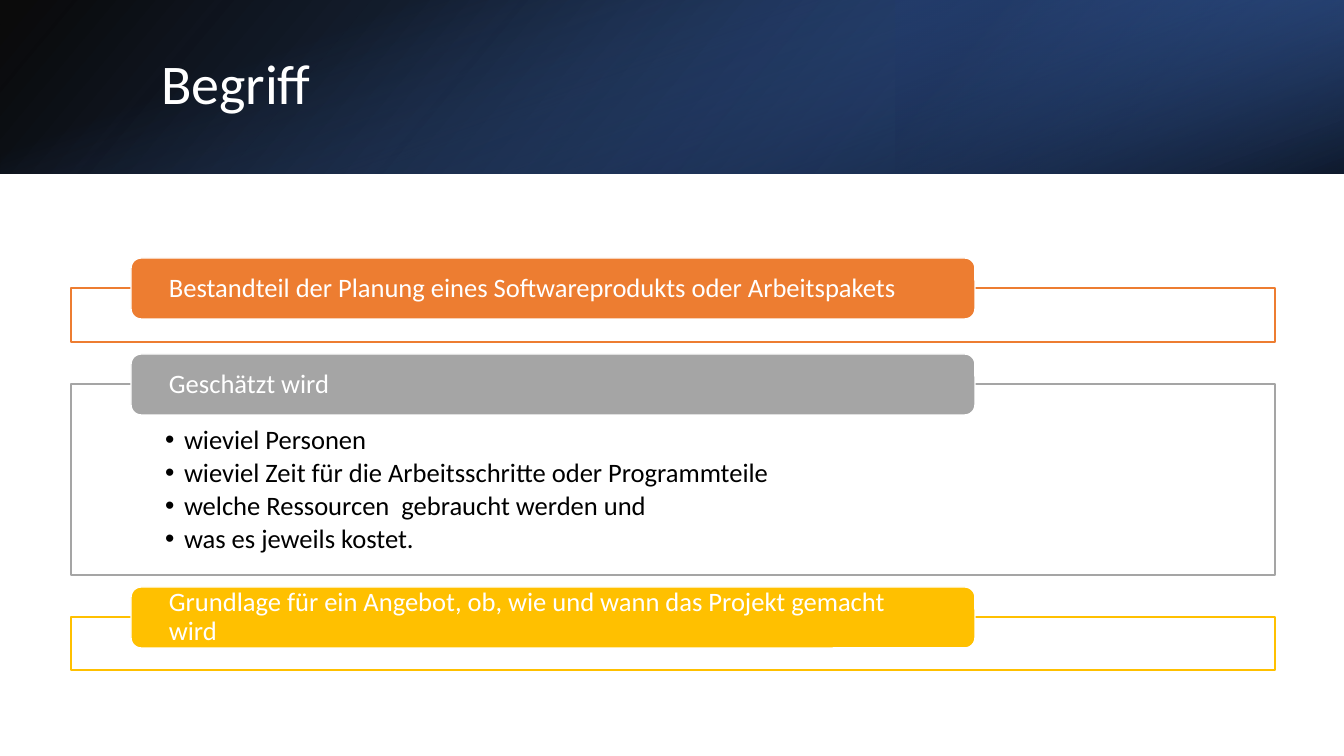
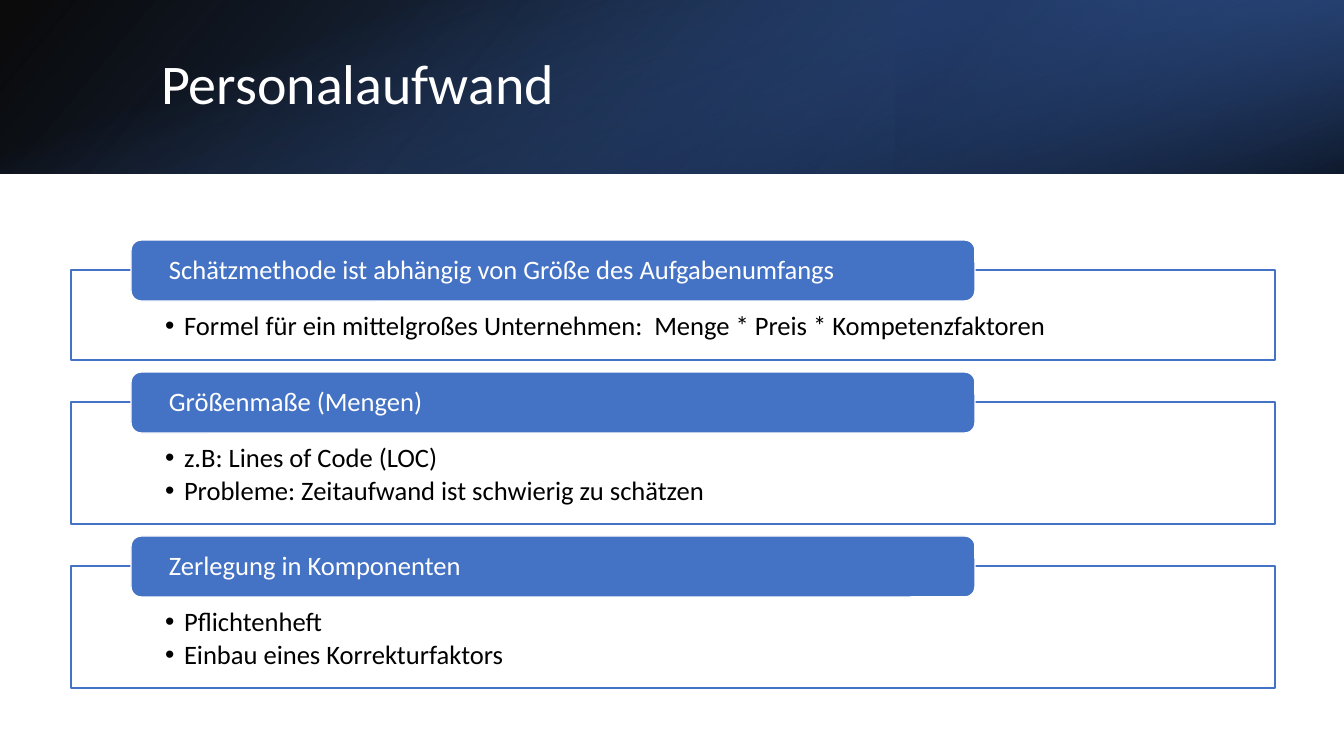
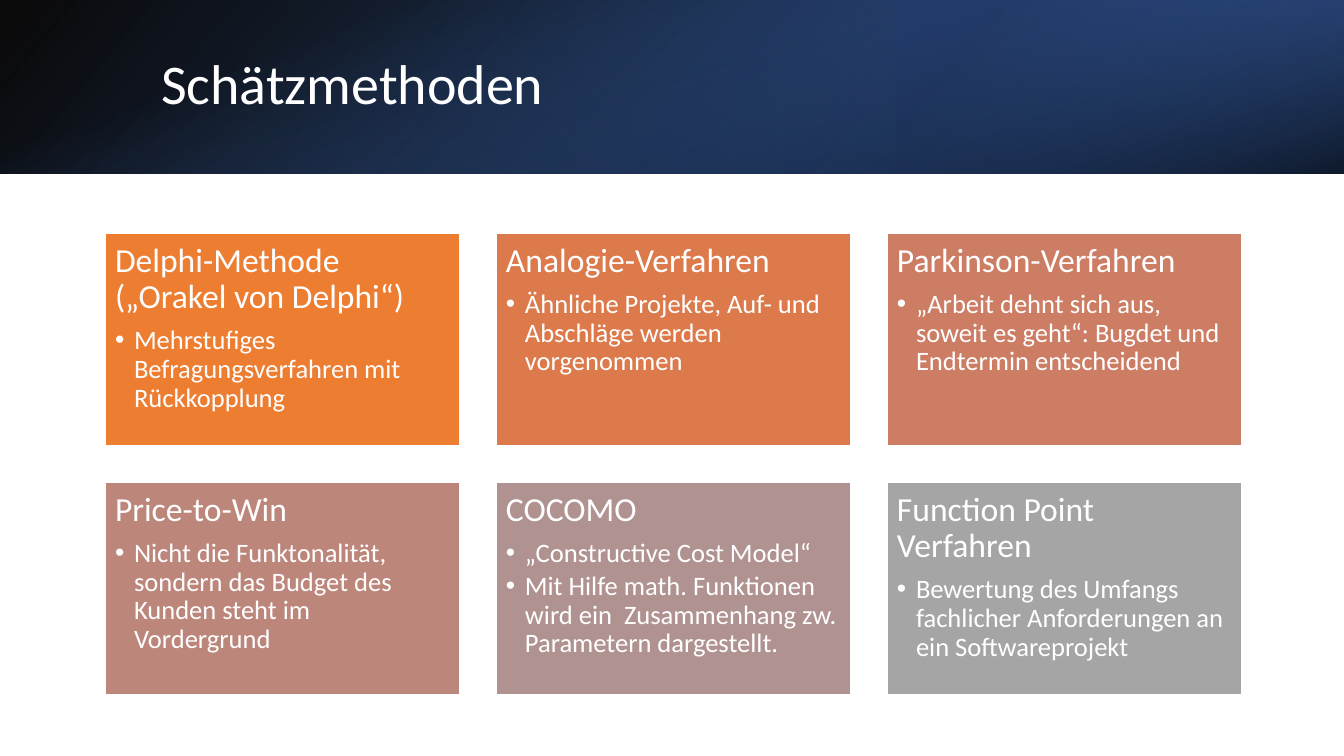
from lxml.etree import SubElement as Sub
from pptx import Presentation
from pptx.dml.color import RGBColor as RGB
from pptx.enum.shapes import MSO_SHAPE as SHAPE
from pptx.enum.text import MSO_ANCHOR as ANCHOR, PP_ALIGN as ALIGN
from pptx.oxml.ns import qn
from pptx.util import Emu, Pt

# Sizes in px
WIDE, HIGH = 1344, 756
SCALE = 12192000 / WIDE
BAND = 174
STEP = 42      # from a frame to the next one
RISE = 30      # how far a label stands above its frame
DENT = 19      # bullet indent

FONT = "Calibri"
WHITE = RGB(0xFF, 0xFF, 0xFF)
BLACK = RGB(0x00, 0x00, 0x00)
NAVY = RGB(0x20, 0x38, 0x64)
DEEP = RGB(0x2F, 0x55, 0x97)
BLUE = RGB(0x44, 0x72, 0xC4)
ORANGE = RGB(0xED, 0x7D, 0x31)
GREY = RGB(0xA5, 0xA5, 0xA5)
GOLD = RGB(0xFF, 0xC0, 0x00)
RUST = RGB(0xDC, 0x7A, 0x4B)
CORAL = RGB(0xCC, 0x7D, 0x64)
ROSE = RGB(0xBD, 0x86, 0x7B)
MAUVE = RGB(0xB0, 0x93, 0x91)

TERMS = [
    ("Bestandteil der Planung eines Softwareprodukts oder Arbeitspakets",
     ORANGE, 54, []),
    ("Geschätzt wird", GREY, 191,
     ["wieviel Personen",
      "wieviel Zeit für die Arbeitsschritte oder Programmteile",
      "welche Ressourcen  gebraucht werden und",
      "was es jeweils kostet."]),
    ("Grundlage für ein Angebot, ob, wie und wann das Projekt gemacht wird",
     GOLD, 53, []),
]
STAFF = [
    ("Schätzmethode ist abhängig von Größe des Aufgabenumfangs", BLUE, 90,
     ["Formel für ein mittelgroßes Unternehmen:  "
      "Menge * Preis * Kompetenzfaktoren"]),
    ("Größenmaße (Mengen)", BLUE, 122,
     ["z.B: Lines of Code (LOC)",
      "Probleme: Zeitaufwand ist schwierig zu schätzen"]),
    ("Zerlegung in Komponenten", BLUE, 122,
     ["Pflichtenheft", "Einbau eines Korrekturfaktors"]),
]
CARDS = [
    ("Delphi-Methode („Orakel von Delphi“)", ORANGE,
     ["Mehrstufiges Befragungsverfahren mit Rückkopplung"]),
    ("Analogie-Verfahren", RUST,
     ["Ähnliche Projekte, Auf- und Abschläge werden vorgenommen"]),
    ("Parkinson-Verfahren", CORAL,
     ["„Arbeit dehnt sich aus, soweit es geht“: "
      "Bugdet und Endtermin entscheidend"]),
    ("Price-to-Win", ROSE,
     ["Nicht die Funktonalität, sondern das Budget des Kunden "
      "steht im Vordergrund"]),
    ("COCOMO", MAUVE,
     ["„Constructive Cost Model“",
      "Mit Hilfe math. Funktionen wird ein  Zusammenhang zw. "
      "Parametern dargestellt."]),
    ("Function Point Verfahren", GREY,
     ["Bewertung des Umfangs fachlicher Anforderungen an "
      "ein Softwareprojekt"]),
]


def px(num):
    return Emu(round(num * SCALE))


def write(frame, text, size=19, color=WHITE, after=0, bullet=False):
    """Add one paragraph to a text frame."""
    para = frame.paragraphs[0]
    if para.runs:
        para = frame.add_paragraph()
    para.alignment = ALIGN.LEFT
    para.line_spacing = 0.9
    para.space_before = Pt(0)
    para.space_after = Pt(after)
    run = para.add_run()
    run.text = text
    font = run.font
    font.name, font.size, font.color.rgb = FONT, Pt(size), color
    if bullet:
        props = para._p.get_or_add_pPr()
        props.set("marL", str(px(DENT)))
        props.set("indent", str(-px(DENT)))
        Sub(props, qn("a:buFont")).set("typeface", "Arial")
        Sub(props, qn("a:buChar")).set("char", "•")


def points(frame, items, color):
    for item in items:
        write(frame, item, color=color, after=3, bullet=True)


def fade(shape, *parts):
    """Set the opacity of the fill colours, in percent."""
    nodes = shape._element.spPr.iter(qn("a:srgbClr"))
    for node, part in zip(nodes, parts):
        Sub(node, qn("a:alpha")).set("val", str(part * 1000))


def shape_at(slide, kind, left, top, wide, high):
    shape = slide.shapes.add_shape(kind, px(left), px(top), px(wide), px(high))
    shape.shadow.inherit = False
    return shape


def box(slide, kind, area, fill, line, inset, anchor=ANCHOR.TOP, alpha=100):
    """Draw a filled box ready to take text."""
    shape = shape_at(slide, kind, *area)
    shape.fill.solid()
    shape.fill.fore_color.rgb = fill
    if alpha < 100:
        fade(shape, alpha)
    shape.line.color.rgb = line
    shape.line.width = Pt(1)
    frame = shape.text_frame
    frame.word_wrap = True
    frame.vertical_anchor = anchor
    (frame.margin_left, frame.margin_top,
     frame.margin_right, frame.margin_bottom) = map(px, inset)
    return frame


def blend(slide, order, area, stops, angle, turn=0, flip=True):
    """Draw a gradient layer behind the title."""
    shape = shape_at(slide, SHAPE.RECTANGLE, *area)
    shape.rotation = turn
    if flip:
        shape._element.spPr.find(qn("a:xfrm")).set("flipH", "1")
    fill = shape.fill
    fill.gradient()
    fill.gradient_angle = 360 - angle
    for stop, (place, color, _) in zip(fill.gradient_stops, stops):
        stop.position = place / 100
        stop.color.rgb = color
    fade(shape, *[alpha for _, _, alpha in stops])
    shape.line.fill.background()
    slide.shapes._spTree.insert(2 + order, shape._element)


def start(deck, text):
    """Add a slide with its band and title."""
    slide = deck.slides.add_slide(deck.slide_layouts[5])
    blend(slide, 0, (0, 0, WIDE, BAND),
          [(0, BLACK, 96), (100, DEEP, 100)], 140)
    blend(slide, 1, (WIDE * 2 // 3, 0, WIDE // 3, BAND),
          [(19, NAVY, 68), (100, BLUE, 79)], 320, turn=180)
    side = (WIDE - BAND) // 2
    blend(slide, 2, (side, -side, BAND, WIDE),
          [(23, BLUE, 0), (99, BLACK, 74)], 340, turn=90, flip=False)
    title = slide.shapes.title
    title.left, title.top, title.width, title.height = map(
        px, (151, 38, 1107, 97))
    title.text_frame.vertical_anchor = ANCHOR.MIDDLE
    write(title.text_frame, text, size=40)
    return slide


def rows(slide, top, data):
    """Stack frames, each with a label over its top edge."""
    for head, color, high, items in data:
        frame = box(slide, SHAPE.RECTANGLE, (71, top, 1204, high), WHITE,
                    color, (94, 43, 94, 15), alpha=90)
        points(frame, items, BLACK)
        label = box(slide, SHAPE.ROUNDED_RECTANGLE,
                    (131, top - RISE, 844, 61), color, WHITE,
                    (35, 0, 35, 0), anchor=ANCHOR.MIDDLE)
        write(label, head)
        top += high + STEP


def grid(slide, data, cols=3, wide=355, high=213, gap=36):
    for num, (head, color, items) in enumerate(data):
        row, col = divmod(num, cols)
        area = (105 + col * (wide + gap), 233 + row * (high + gap), wide, high)
        card = box(slide, SHAPE.RECTANGLE, area, color, WHITE, (10,) * 4)
        write(card, head, size=24, after=8)
        points(card, items, WHITE)


def main():
    deck = Presentation()
    deck.slide_width, deck.slide_height = px(WIDE), px(HIGH)
    rows(start(deck, "Begriff"), 288, TERMS)
    rows(start(deck, "Personalaufwand"), 270, STAFF)
    grid(start(deck, "Schätzmethoden"), CARDS)
    deck.save("out.pptx")


if __name__ == "__main__":
    main()
